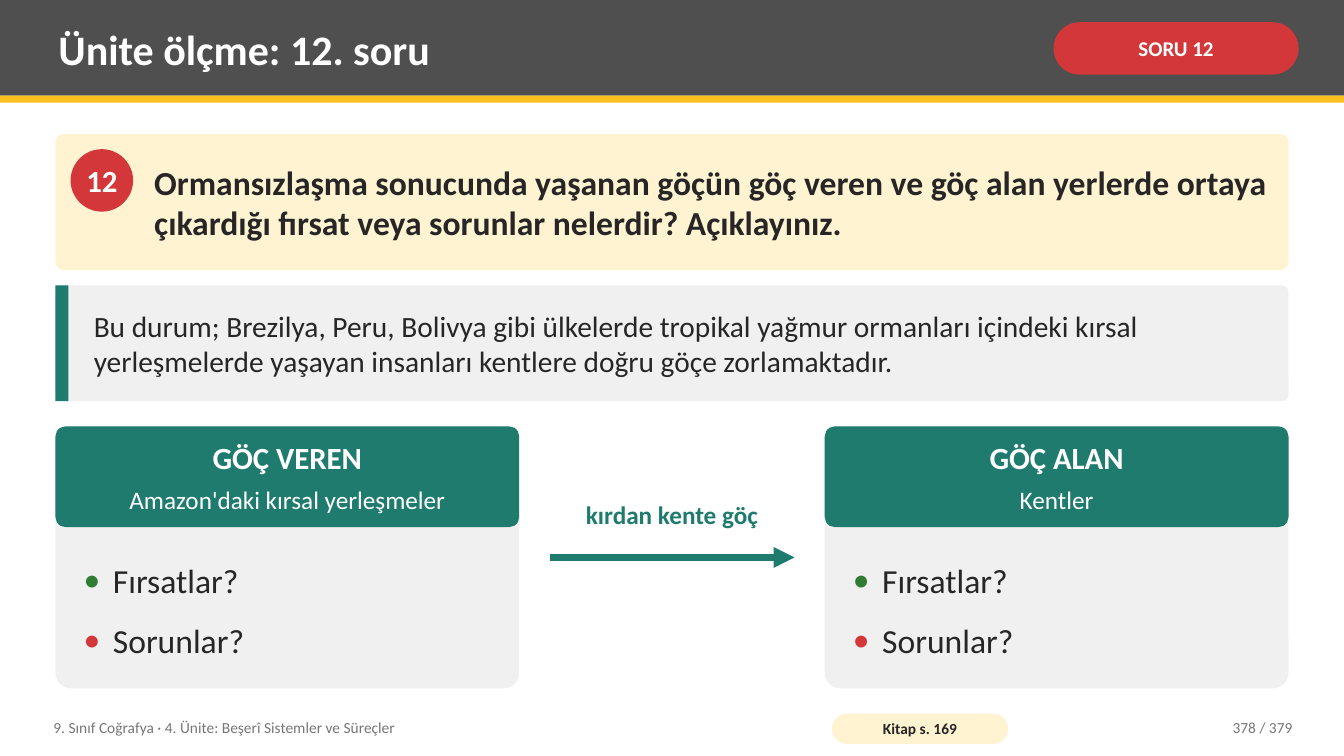
import pptx
import pptx.util
import pptx.dml.color
import pptx.enum.shapes
import pptx.enum.text
import pptx.oxml
import pptx.oxml.ns
from dataclasses import dataclass

Inches = pptx.util.Inches
Pt = pptx.util.Pt
Shape = pptx.enum.shapes.MSO_SHAPE
Align = pptx.enum.text.PP_ALIGN
Anchor = pptx.enum.text.MSO_ANCHOR


@dataclass(frozen=True)
class Theme:
    font: str = "Calibri"
    white: str = "FFFFFF"
    ink: str = "262626"
    muted: str = "767676"
    header: str = "4F4F4F"
    yellow: str = "FCC021"
    cream: str = "FFF3D1"
    panel: str = "F0F0F0"
    teal: str = "1E7B6E"
    red: str = "D3373A"
    green: str = "2E7D32"
    title: int = 30
    question: int = 24
    heading: int = 22
    body: int = 21
    label: int = 18
    badge: int = 15
    footer: int = 11


def rgb(value):
    return pptx.dml.color.RGBColor.from_string(value)


class SlideBuilder:
    def __init__(self, slide, theme):
        self.slide = slide
        self.theme = theme

    def shape(self, kind, box, fill, radius=None):
        shape = self.slide.shapes.add_shape(kind, *map(Inches, box))
        shape.shadow.inherit = False
        shape.fill.solid()
        shape.fill.fore_color.rgb = rgb(fill)
        shape.line.fill.background()
        if radius is not None:
            shape.adjustments[0] = radius
        return shape

    def frame(self, shape, insets, anchor=Anchor.MIDDLE, wrap=True):
        """Prepare the text frame; insets are horizontal and vertical."""
        frame = shape.text_frame
        frame.word_wrap = wrap
        frame.vertical_anchor = anchor
        frame.margin_left = frame.margin_right = Inches(insets[0])
        frame.margin_top = frame.margin_bottom = Inches(insets[1])
        return frame

    def run(self, paragraph, text, size, color, bold=False, align=Align.LEFT):
        paragraph.alignment = align
        run = paragraph.add_run()
        run.text = text
        run.font.name = self.theme.font
        run.font.size = Pt(size)
        run.font.bold = bold
        run.font.color.rgb = rgb(color)

    def text_box(self, box, anchor=Anchor.MIDDLE):
        return self.frame(self.slide.shapes.add_textbox(*map(Inches, box)), (0.08, 0.04), anchor)

    def text(self, box, text, size, color, bold=False, align=Align.LEFT, anchor=Anchor.MIDDLE):
        self.run(self.text_box(box, anchor).paragraphs[0], text, size, color, bold, align)

    def badge(self, kind, box, fill, text, size, color, insets, radius=None, wrap=True):
        frame = self.frame(self.shape(kind, box, fill, radius), insets, wrap=wrap)
        self.run(frame.paragraphs[0], text, size, color, True, Align.CENTER)

    def bullets(self, box, items, gap):
        frame = self.text_box(box)
        for index, (text, dot) in enumerate(items):
            paragraph = frame.paragraphs[0] if index == 0 else frame.add_paragraph()
            properties = paragraph._p.get_or_add_pPr()
            properties.set("marL", str(Inches(0.29)))
            properties.set("indent", str(-Inches(0.29)))
            namespace = pptx.oxml.ns.nsdecls("a")
            for xml in (f'<a:buClr {namespace}><a:srgbClr val="{dot}"/></a:buClr>',
                        f'<a:buFont {namespace} typeface="{self.theme.font}"/>',
                        f'<a:buChar {namespace} char="•"/>'):
                properties.append(pptx.oxml.parse_xml(xml))
            if index < len(items) - 1:
                paragraph.space_after = Pt(gap)
            self.run(paragraph, text, self.theme.question, self.theme.ink)

    def card(self, left, heading, place, items):
        theme = self.theme
        top, width = 4.23, 4.6
        self.shape(Shape.ROUNDED_RECTANGLE, (left, top, width, 2.6), theme.panel, 0.06)
        band = self.shape(Shape.ROUNDED_RECTANGLE, (left, top, width, 1), theme.teal, 0.1)
        frame = self.frame(band, (0.14, 0.08))
        frame.paragraphs[0].space_after = Pt(6)
        self.run(frame.paragraphs[0], heading, theme.heading, theme.white, True, Align.CENTER)
        self.run(frame.add_paragraph(), place, theme.label, theme.white, align=Align.CENTER)
        self.bullets((left + 0.2, top + 1.15, width - 0.4, 1.35), items, 14)

    def arrow(self, start, end, color, width):
        arrow = self.slide.shapes.add_connector(
            pptx.enum.shapes.MSO_CONNECTOR.STRAIGHT, *map(Inches, start + end))
        arrow.line.color.rgb = rgb(color)
        arrow.line.width = Pt(width)
        namespace = pptx.oxml.ns.nsdecls("a")
        arrow.line._get_or_add_ln().append(
            pptx.oxml.parse_xml(f'<a:tailEnd {namespace} type="triangle"/>'))
        arrow._element.spPr.append(pptx.oxml.parse_xml(f"<a:effectLst {namespace}/>"))


def main():
    deck = pptx.Presentation()
    deck.slide_width, deck.slide_height = Inches(13.33), Inches(7.5)
    theme = Theme()
    page = SlideBuilder(deck.slides.add_slide(deck.slide_layouts[6]), theme)
    left, width = 0.55, 12.23

    # Header
    page.shape(Shape.RECTANGLE, (0, 0, 13.33, 0.95), theme.header)
    page.shape(Shape.RECTANGLE, (0, 0.95, 13.33, 0.07), theme.yellow)
    page.text((0.5, 0.07, 9.75, 0.82), "Ünite ölçme: 12. soru", theme.title, theme.white, True)
    page.badge(Shape.ROUNDED_RECTANGLE, (10.45, 0.22, 2.43, 0.52), theme.red, "SORU 12",
               theme.badge, theme.white, (0.05, 0.02), 0.5)

    # Question
    page.shape(Shape.ROUNDED_RECTANGLE, (left, 1.33, width, 1.35), theme.cream, 0.06)
    page.badge(Shape.OVAL, (0.7, 1.48, 0.62, 0.62), theme.red, "12",
               theme.heading, theme.white, (0, 0), wrap=False)
    page.text((1.45, 1.41, 11.23, 1.19),
              "Ormansızlaşma sonucunda yaşanan göçün göç veren ve göç alan yerlerde ortaya "
              "çıkardığı fırsat veya sorunlar nelerdir? Açıklayınız.",
              theme.question, theme.ink, True)

    # Context
    page.shape(Shape.ROUNDED_RECTANGLE, (left, 2.83, width, 1.15), theme.panel, 0.06)
    page.shape(Shape.RECTANGLE, (left, 2.83, 0.13, 1.15), theme.teal)
    page.text((0.85, 2.83, 11.78, 1.15),
              "Bu durum; Brezilya, Peru, Bolivya gibi ülkelerde tropikal yağmur ormanları "
              "içindeki kırsal yerleşmelerde yaşayan insanları kentlere doğru göçe zorlamaktadır.",
              theme.body, theme.ink)

    # Origin and destination of the migration
    prompts = [("Fırsatlar?", theme.green), ("Sorunlar?", theme.red)]
    page.card(left, "GÖÇ VEREN", "Amazon'daki kırsal yerleşmeler", prompts)
    page.card(8.18, "GÖÇ ALAN", "Kentler", prompts)
    page.arrow((5.45, 5.53), (7.88, 5.53), theme.teal, 5)
    page.text((5.45, 4.91, 2.43, 0.5), "kırdan kente göç", theme.label, theme.teal, True,
              Align.CENTER, Anchor.TOP)

    # Footer
    page.text((0.45, 7.04, 7.6, 0.36),
              "9. Sınıf Coğrafya · 4. Ünite: Beşerî Sistemler ve Süreçler",
              theme.footer, theme.muted)
    page.badge(Shape.ROUNDED_RECTANGLE, (8.25, 7.08, 1.75, 0.3), theme.cream, "Kitap s. 169",
               theme.footer, theme.ink, (0.04, 0), 0.5)
    page.text((11.3, 7.04, 1.6, 0.36), "378 / 379", theme.footer, theme.muted, align=Align.RIGHT)

    deck.save("out.pptx")


if __name__ == "__main__":
    main()
